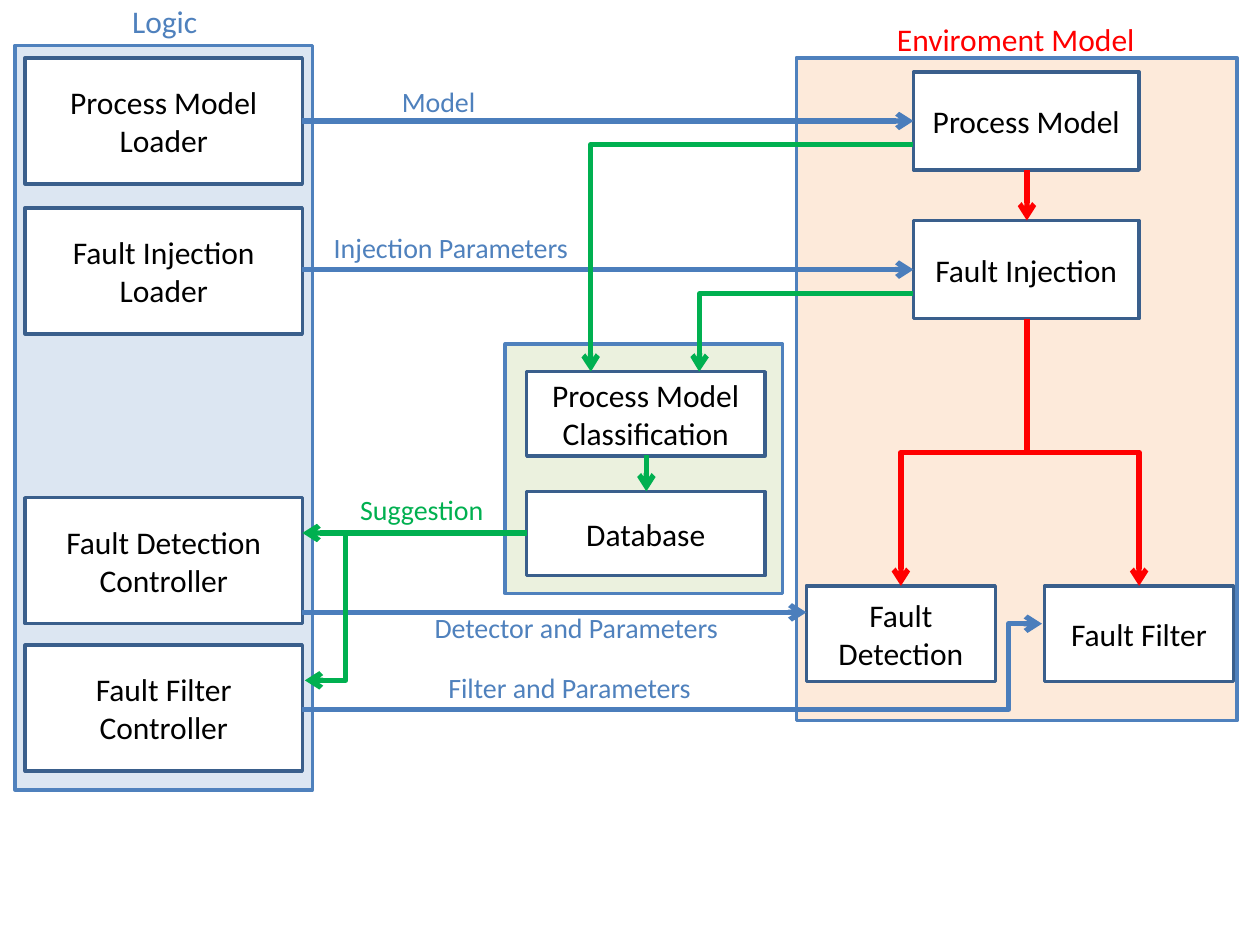
from lxml.etree import SubElement
from pptx import Presentation
from pptx.dml.color import RGBColor
from pptx.enum.shapes import MSO_CONNECTOR, MSO_SHAPE
from pptx.enum.text import MSO_ANCHOR, MSO_AUTO_SIZE, PP_ALIGN
from pptx.oxml.ns import qn
from pptx.util import Inches, Pt

BLUE, FLOW_BLUE, BOX_EDGE = "4F81BD", "4B7EBC", "3A5F8C"
RED, GREEN, WHITE, BLACK = "FF0000", "00B050", "FFFFFF", "000000"


def color(value):
    return RGBColor.from_string(value)


class Diagram:
    font = "Calibri"

    def __init__(self, slide):
        self.slide = slide

    def add_text(self, frame, text, size, text_color, align):
        paragraph = frame.paragraphs[0]
        paragraph.alignment = align
        run = paragraph.add_run()
        run.text = text
        run.font.name = self.font
        run.font.size = Pt(size)
        run.font.color.rgb = color(text_color)

    def panel(self, left, top, width, height, fill, edge=BLUE):
        shape = self.slide.shapes.add_shape(
            MSO_SHAPE.RECTANGLE, Inches(left), Inches(top), Inches(width), Inches(height))
        shape.shadow.inherit = False
        shape.fill.solid()
        shape.fill.fore_color.rgb = color(fill)
        shape.line.color.rgb = color(edge)
        shape.line.width = Pt(2)
        return shape

    def box(self, text, left, top, width, height):
        frame = self.panel(left, top, width, height, WHITE, BOX_EDGE).text_frame
        frame.word_wrap = True
        frame.vertical_anchor = MSO_ANCHOR.MIDDLE
        self.add_text(frame, text, 18, BLACK, PP_ALIGN.CENTER)

    def label(self, text, left, top, width, text_color, size=16):
        height = 0.37 if size == 16 else 0.4
        frame = self.slide.shapes.add_textbox(
            Inches(left), Inches(top), Inches(width), Inches(height)).text_frame
        frame.word_wrap = False
        frame.auto_size = MSO_AUTO_SIZE.SHAPE_TO_FIT_TEXT
        self.add_text(frame, text, size, text_color, PP_ALIGN.LEFT)

    def arrow(self, start, end, line_color, kind=MSO_CONNECTOR.STRAIGHT):
        connector = self.slide.shapes.add_connector(
            kind, *(Inches(value) for value in (*start, *end)))
        connector.line.color.rgb = color(line_color)
        connector.line.width = Pt(3)
        properties = connector._element.spPr
        SubElement(properties.find(qn("a:ln")), qn("a:tailEnd"), type="arrow")
        SubElement(properties, qn("a:effectLst"))
        return properties

    def elbow(self, start, end, line_color, bend):
        """Leave sideways and turn at the given share of the width."""
        properties = self.arrow(start, end, line_color, MSO_CONNECTOR.ELBOW)
        geometry = properties.find(qn("a:prstGeom"))
        adjustments = geometry.find(qn("a:avLst"))
        if adjustments is None:
            adjustments = SubElement(geometry, qn("a:avLst"))
        SubElement(adjustments, qn("a:gd"), name="adj1", fmla=f"val {round(bend * 100000)}")
        return properties

    def drop(self, start, end, line_color):
        """Leave downwards and turn halfway: a sideways elbow, rotated."""
        (x1, y1), (x2, y2) = start, end
        center_x, center_y = (x1 + x2) / 2, (y1 + y2) / 2
        side = 1 if x2 < x1 else -1
        half_length, half_offset = side * (y2 - y1) / 2, abs(x2 - x1) / 2
        properties = self.elbow((center_x - half_length, center_y - half_offset),
                                (center_x + half_length, center_y + half_offset),
                                line_color, 0.5)
        angle = 90 if side == 1 else 270
        properties.find(qn("a:xfrm")).set("rot", str(angle * 60000))


presentation = Presentation()
presentation.slide_width, presentation.slide_height = Inches(10), Inches(7.5)
diagram = Diagram(presentation.slides.add_slide(presentation.slide_layouts[6]))

# Background panels
diagram.panel(4.01, 2.73, 2.2, 1.98, "EBF1DE")
diagram.panel(6.32, 0.46, 3.5, 5.26, "FDEADA")
diagram.panel(0.12, 0.36, 2.36, 5.91, "DCE6F2")

# Environment boxes
for text, top in (("Process Model", 0.57), ("Fault Injection", 1.75)):
    diagram.box(text, 7.25, top, 1.79, 0.78)
for text, left in (("Fault Detection", 6.4), ("Fault Filter", 8.29)):
    diagram.box(text, left, 4.65, 1.5, 0.76)

# Logic boxes
for text, top in (("Process Model Loader", 0.46), ("Fault Injection Loader", 1.65),
                  ("Fault Detection Controller", 3.95), ("Fault Filter Controller", 5.12)):
    diagram.box(text, 0.2, top, 2.2, 1)

# Classification boxes
for text, top in (("Process Model Classification", 2.95), ("Database", 3.9)):
    diagram.box(text, 4.18, top, 1.89, 0.67)

# Fault flow
diagram.arrow((8.15, 1.35), (8.15, 1.75), RED)
for x in (7.15, 9.04):
    diagram.drop((8.15, 2.53), (x, 4.65), RED)

# Parameter flow
for y, x in ((0.96, 7.25), (2.14, 7.25), (4.86, 6.4)):
    diagram.arrow((2.4, y), (x, y), FLOW_BLUE)
diagram.elbow((2.4, 5.63), (8.27, 4.95), FLOW_BLUE, 0.955)

# Classification and suggestion flow
diagram.elbow((7.25, 1.15), (4.69, 2.95), GREEN, 1.001)
diagram.elbow((7.25, 2.33), (5.55, 2.95), GREEN, 0.998)
diagram.arrow((5.13, 3.61), (5.13, 3.9), GREEN)
diagram.arrow((4.18, 4.23), (2.4, 4.23), GREEN)
diagram.elbow((4.18, 4.23), (2.42, 5.4), GREEN, 0.816)

# Labels
for text, left, top, width in (("Model", 3.09, 0.62, 0.79),
                               ("Injection Parameters", 2.55, 1.78, 2.09),
                               ("Filter and Parameters", 3.46, 5.27, 2.2),
                               ("Detector and Parameters", 3.35, 4.8, 2.48)):
    diagram.label(text, left, top, width, BLUE)
diagram.label("Suggestion", 2.76, 3.86, 1.19, GREEN)
diagram.label("Logic", 0.95, -0.03, 0.73, BLUE, 18)
diagram.label("Enviroment Model", 7.02, 0.11, 2.11, RED, 18)

presentation.save("out.pptx")
